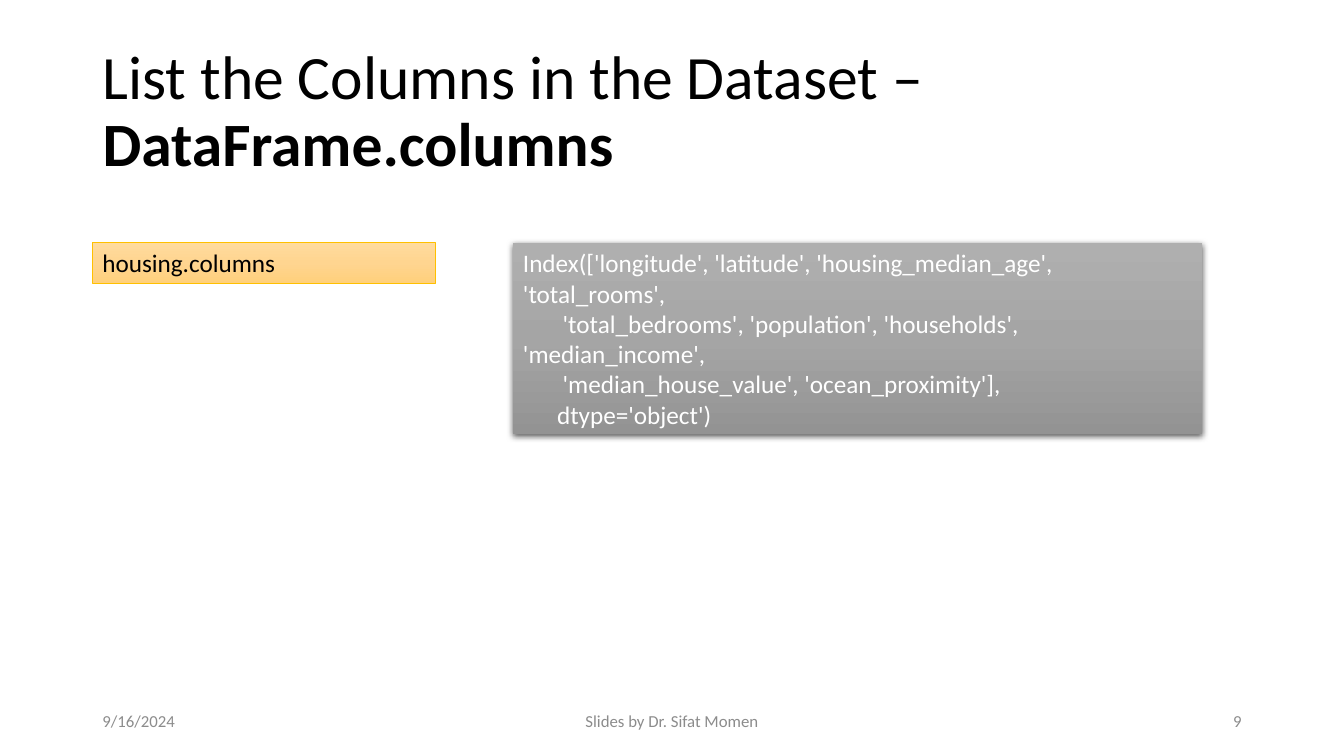
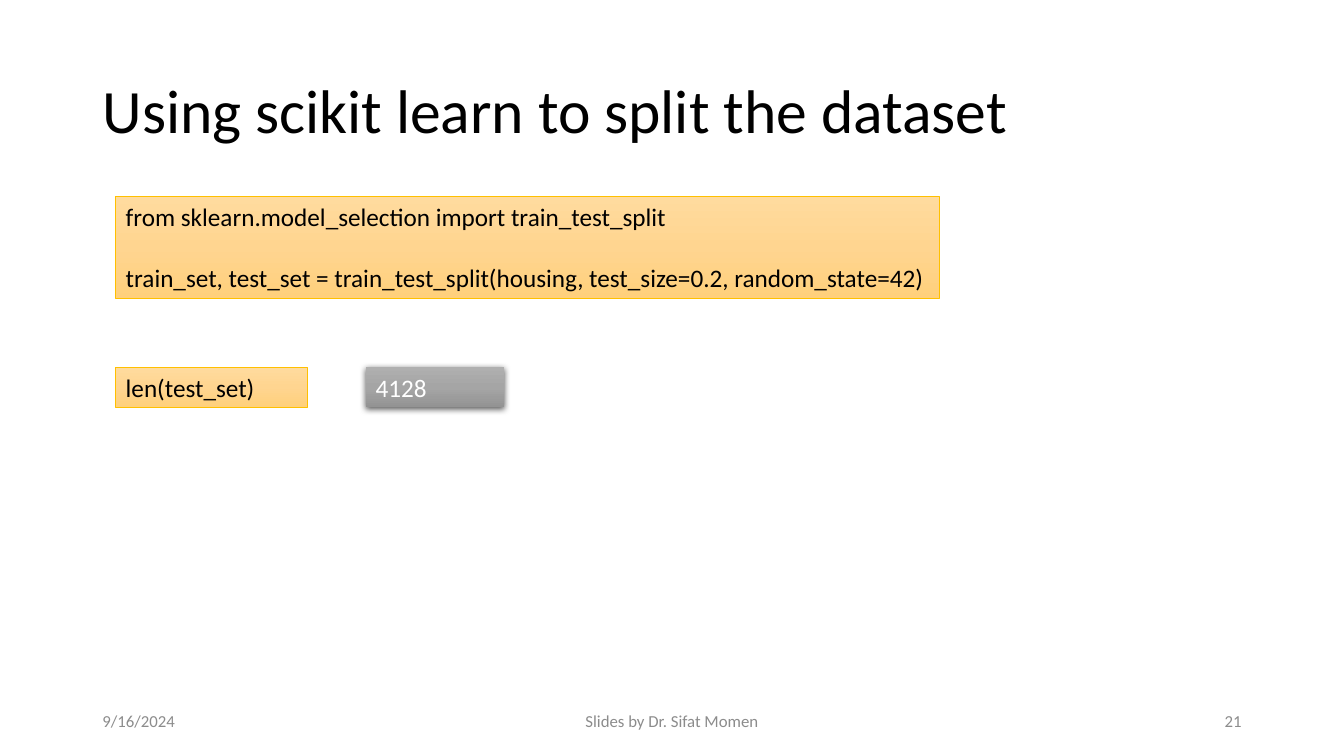
from dataclasses import dataclass

from pptx import Presentation
from pptx.dml.color import RGBColor
from pptx.enum.shapes import MSO_SHAPE
from pptx.enum.text import MSO_ANCHOR, MSO_AUTO_SIZE, PP_ALIGN
from pptx.oxml import parse_xml
from pptx.oxml.ns import nsdecls
from pptx.util import Cm, Pt


@dataclass(frozen=True)
class Theme:
    font: str = "Calibri"
    title_size: int = 44
    code_size: int = 18
    footer_size: int = 12
    ink: str = "000000"
    paper: str = "FFFFFF"
    muted: str = "8C8C8C"
    code_line: str = "FFC000"
    code_fill: tuple = ("FFDB9E", "FFD590", "FFD07C")
    output_fill: tuple = ("AFAFAF", "A5A5A5", "939393")


theme = Theme()


def add_run(p, text, size, color, bold=False):
    r = p.add_run()
    r.text = text
    r.font.name = theme.font
    r.font.size = Pt(size)
    r.font.bold = bold
    r.font.color.rgb = RGBColor.from_string(color)


def add_box(s, kind, left, top, width, height, lines):
    """Add a code or output box; each line is (text, indent in cm, space before in pt)."""
    is_code = kind == "code"
    sp = s.shapes.add_shape(MSO_SHAPE.RECTANGLE, Cm(left), Cm(top), Cm(width), Cm(height))
    sp.shadow.inherit = False

    # Vertical three-stop gradient
    colors = theme.code_fill if is_code else theme.output_fill
    stops = "".join(
        f'<a:gs pos="{i * 50000}"><a:srgbClr val="{color}"/></a:gs>'
        for i, color in enumerate(colors)
    )
    sp_pr = sp.element.spPr
    sp_pr.insert(2, parse_xml(
        f'<a:gradFill {nsdecls("a")} rotWithShape="1"><a:gsLst>{stops}</a:gsLst>'
        '<a:lin ang="5400000" scaled="0"/></a:gradFill>'
    ))

    # Code has an outline, output has a shadow
    if is_code:
        sp.line.color.rgb = RGBColor.from_string(theme.code_line)
        sp.line.width = Pt(0.5)
    else:
        sp.line.fill.background()
        sp_pr.find("{*}effectLst").append(parse_xml(
            f'<a:outerShdw {nsdecls("a")} blurRad="{Pt(4.5)}" dist="{Pt(1.5)}" '
            'dir="5400000" algn="ctr" rotWithShape="0">'
            f'<a:srgbClr val="{theme.ink}"><a:alpha val="63000"/></a:srgbClr></a:outerShdw>'
        ))

    tf = sp.text_frame
    tf.word_wrap = True
    tf.auto_size = MSO_AUTO_SIZE.SHAPE_TO_FIT_TEXT
    tf.vertical_anchor = MSO_ANCHOR.TOP
    for i, (text, indent, space) in enumerate(lines):
        p = tf.add_paragraph() if i else tf.paragraphs[0]
        p.alignment = PP_ALIGN.LEFT
        p.space_before = Pt(space)
        p._p.get_or_add_pPr().set("indent", str(Cm(indent)))
        add_run(p, text, theme.code_size, theme.ink if is_code else theme.paper)


# Slide content: number, title runs (text, bold), boxes
slides = [
    (
        "9",
        [("List the Columns in the Dataset – ", False), ("DataFrame.columns", True)],
        [
            ("code", 2.33, 6.12, 8.64, 1.02, [("housing.columns", 0, 0)]),
            ("output", 12.93, 6.12, 17.37, 4.83, [
                ("Index(['longitude', 'latitude', 'housing_median_age', 'total_rooms',", 0, 0),
                ("'total_bedrooms', 'population', 'households', 'median_income',", 1, 0),
                ("'median_house_value', 'ocean_proximity'],", 1, 0),
                ("dtype='object')", 0.86, 0),
            ]),
        ],
    ),
    (
        "21",
        [("Using scikit learn to split the dataset", False)],
        [
            ("code", 2.92, 4.95, 20.75, 2.57, [
                ("from sklearn.model_selection import train_test_split", 0, 0),
                ("train_set, test_set = train_test_split(housing, test_size=0.2, "
                 "random_state=42)", 0, 22),
            ]),
            ("code", 2.92, 9.25, 4.83, 1.02, [("len(test_set)", 0, 0)]),
            ("output", 9.22, 9.25, 3.48, 1.02, [("4128", 0, 0)]),
        ],
    ),
]

prs = Presentation()
prs.slide_width, prs.slide_height = Cm(33.87), Cm(19.05)
title_only = prs.slide_layouts[5]

for number, title_runs, boxes in slides:
    s = prs.slides.add_slide(title_only)

    # Title
    title = s.shapes.title
    title.left, title.top, title.width, title.height = Cm(2.33), Cm(1.01), Cm(29.21), Cm(3.68)
    tf = title.text_frame
    tf.word_wrap = True
    tf.auto_size = MSO_AUTO_SIZE.NONE
    tf.vertical_anchor = MSO_ANCHOR.MIDDLE
    p = tf.paragraphs[0]
    p.alignment = PP_ALIGN.LEFT
    p.line_spacing = 0.9
    for text, bold in title_runs:
        add_run(p, text, theme.title_size, theme.ink, bold)

    # Footer: date, author, slide number
    for text, left, width, align in (
        ("9/16/2024", 2.33, 7.62, PP_ALIGN.LEFT),
        ("Slides by Dr. Sifat Momen", 11.22, 11.43, PP_ALIGN.CENTER),
        (number, 23.92, 7.62, PP_ALIGN.RIGHT),
    ):
        tf = s.shapes.add_textbox(Cm(left), Cm(17.66), Cm(width), Cm(1.01)).text_frame
        tf.word_wrap = True
        tf.vertical_anchor = MSO_ANCHOR.MIDDLE
        p = tf.paragraphs[0]
        p.alignment = align
        add_run(p, text, theme.footer_size, theme.muted)

    # Code and output boxes
    for box in boxes:
        add_box(s, *box)

prs.save("out.pptx")
